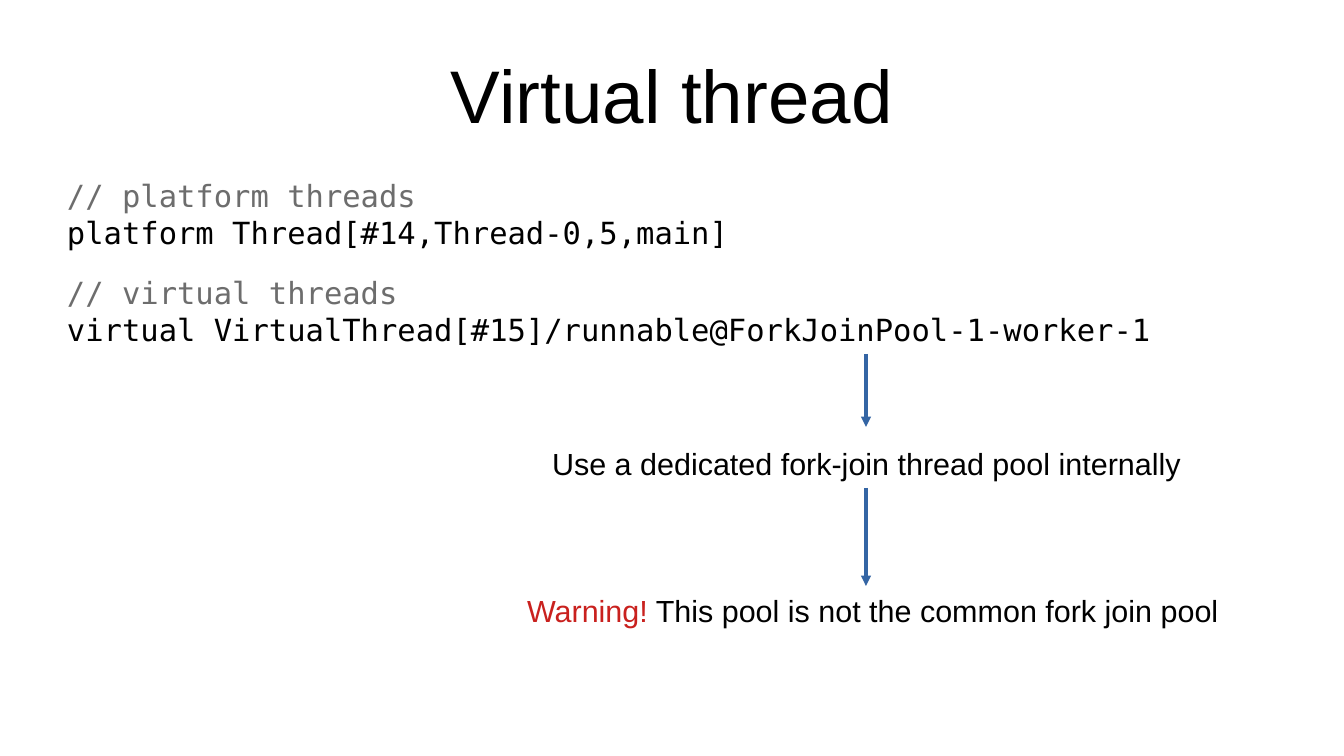
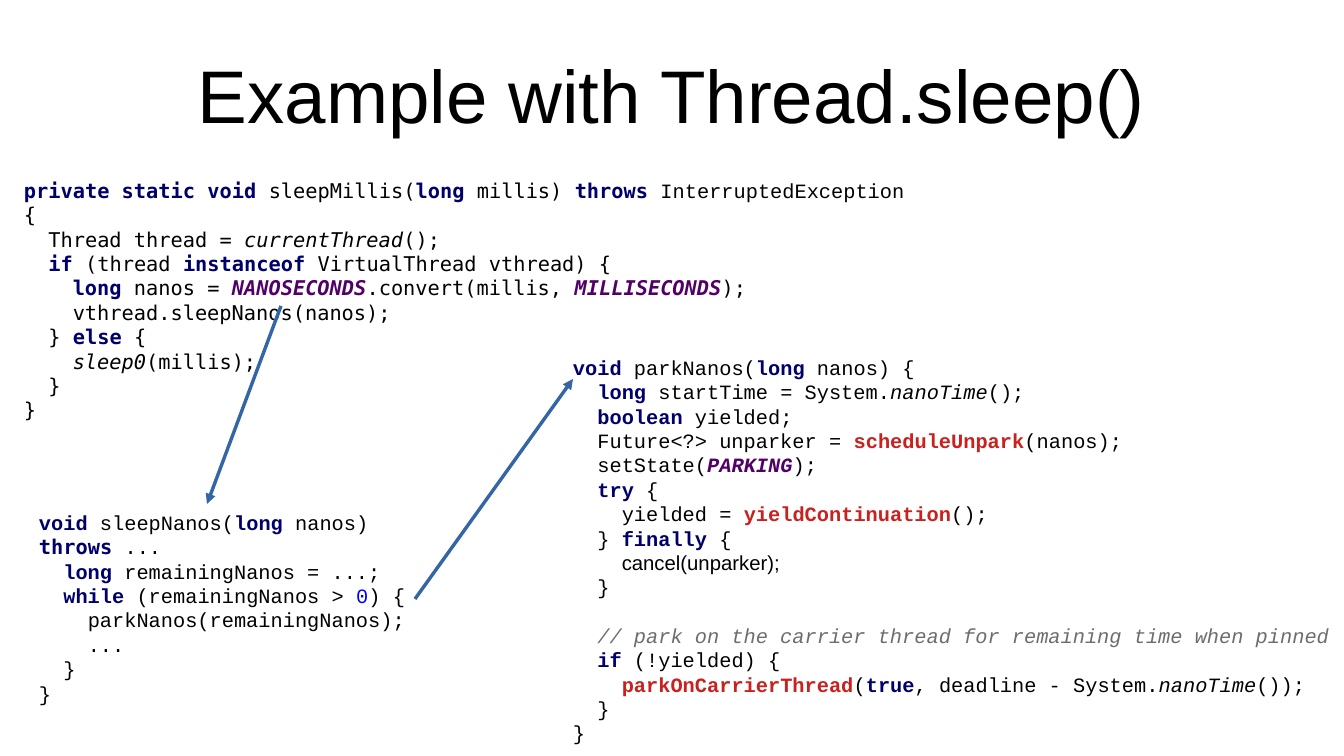
from pptx import Presentation
from pptx.dml.color import RGBColor
from pptx.enum.shapes import MSO_CONNECTOR
from pptx.enum.text import MSO_ANCHOR, PP_ALIGN
from pptx.util import Emu, Pt
from lxml.etree import SubElement
from pptx.oxml.ns import qn

PX = 914400 // 122
THEME = {
    "title": 44, "body": 18, "code": 12, "leading": 1.2, "gap": 14.2,
    "sans": "Arial", "mono": "Courier New", "dejavu": "DejaVu Sans Mono",
    "line": RGBColor.from_string("3465A4"),
}
STYLES = {
    "plain": ("000000", {}),
    "sans": ("000000", {"name": THEME["sans"]}),
    "mono": ("000000", {"name": THEME["mono"]}),
    "key": ("00006D", {"bold": True}),
    "key_dejavu": ("00006D", {"bold": True, "name": THEME["dejavu"]}),
    "call": ("000000", {"italic": True}),
    "const": ("520067", {"bold": True, "italic": True}),
    "hot": ("C9211E", {"bold": True}),
    "warning": ("C9211E", {}),
    "number": ("0000FE", {}),
    "comment": ("6D6D6D", {}),
    "remark": ("6D6D6D", {"italic": True}),
}


def add_text(slide, box, lines, size, font, inset=(0, 0), gaps=(), align=PP_ALIGN.LEFT, anchor=MSO_ANCHOR.TOP):
    tf = slide.shapes.add_textbox(*[Emu(v * PX) for v in box]).text_frame
    side, top = [Emu(v * PX) for v in inset]
    frame = {"word_wrap": True, "vertical_anchor": anchor, "margin_left": side,
             "margin_right": 0, "margin_top": top, "margin_bottom": top}
    for name, value in frame.items():
        setattr(tf, name, value)
    for i, (level, *runs) in enumerate(lines):
        p = tf.add_paragraph() if i else tf.paragraphs[0]
        p.alignment = align
        if len(lines) > 1:
            p.line_spacing = Pt(size * THEME["leading"])
        if i in gaps:
            p.space_before = Pt(THEME["gap"])
        if level:
            pPr = p._p.get_or_add_pPr()
            pPr.set("marL", str(Pt(level * size * 1.2)))
            pPr.set("indent", "0")
        for style, text in runs:
            color, extra = STYLES[style]
            r = p.add_run()
            r.text = text
            for name, value in {"name": font, "size": Pt(size), **extra}.items():
                setattr(r.font, name, value)
            r.font.color.rgb = RGBColor.from_string(color)


def add_arrow(slide, *ends):
    sp = slide.shapes.add_connector(MSO_CONNECTOR.STRAIGHT, *[Emu(v * PX) for v in ends])
    sp.line.color.rgb = THEME["line"]
    sp.line.width = Pt(0)
    SubElement(sp.line._get_or_add_ln(), qn("a:tailEnd"), type="triangle")
    SubElement(sp._element.spPr, qn("a:effectLst"))


prs = Presentation()
prs.slide_width, prs.slide_height = Emu(1344 * PX), Emu(756 * PX)

slides = []
for title in ("Virtual thread", "Example with Thread.sleep()"):
    slide = prs.slides.add_slide(prs.slide_layouts[6])
    add_text(slide, (67, 30, 1210, 127), [(0, ("plain", title))], THEME["title"], THEME["sans"],
             align=PP_ALIGN.CENTER, anchor=MSO_ANCHOR.MIDDLE)
    slides.append(slide)
virtual, sleep = slides

thread_names = [
    (0, ("comment", "// platform threads")),
    (0, ("plain", "platform Thread[#14,Thread-0,5,main]")),
    (0, ("comment", "// virtual threads")),
    (0, ("plain", "virtual VirtualThread[#15]/runnable@ForkJoinPool-1-worker-1")),
]
add_text(virtual, (67, 177, 1210, 214), thread_names, THEME["body"], THEME["dejavu"], gaps=(2,))

pool_notes = [
    ((540, 439, 653, 46), ("plain", "Use a dedicated fork-join thread pool internally")),
    ((515, 586, 716, 46), ("warning", "Warning!"), ("plain", " This pool is not the common fork join pool")),
]
for box, *runs in pool_notes:
    add_text(virtual, box, [(0, *runs)], THEME["body"], THEME["sans"], inset=(12, 6))

park_nanos = [
    (0, ("key", "void "), ("plain", "parkNanos("), ("key", "long "), ("plain", "nanos) {")),
    (1, ("key", "long "), ("plain", "startTime = System."), ("call", "nanoTime"), ("plain", "();")),
    (1, ("key", "boolean "), ("plain", "yielded;")),
    (1, ("plain", "Future<?> unparker = "), ("hot", "scheduleUnpark"), ("plain", "(nanos);")),
    (1, ("plain", "setState("), ("const", "PARKING"), ("plain", ");")),
    (1, ("key", "try "), ("plain", "{")),
    (2, ("plain", "yielded = "), ("hot", "yieldContinuation"), ("plain", "();")),
    (1, ("plain", "} "), ("key", "finally "), ("plain", "{")),
    (2, ("sans", "cancel(unparker);")),
    (1, ("plain", "}")),
    (1, ("remark", "// park on the carrier thread for remaining time when pinned")),
    (1, ("key", "if "), ("plain", "(!yielded) {")),
    (2, ("hot", "parkOnCarrierThread"), ("plain", "("), ("key", "true"),
     ("plain", ", deadline - System."), ("call", "nanoTime"), ("plain", "());")),
    (1, ("plain", "}")),
    (0, ("plain", "}")),
]
sleep_millis = [
    (0, ("key", "private static void "), ("plain", "sleepMillis("), ("key", "long "), ("plain", "millis) "),
     ("key", "throws "), ("mono", "InterruptedException")),
    (0, ("plain", "{")),
    (1, ("plain", "Thread thread = "), ("call", "currentThread"), ("plain", "();")),
    (1, ("key", "if "), ("plain", "(thread "), ("key", "instanceof "), ("plain", "VirtualThread vthread) {")),
    (2, ("key", "long "), ("plain", "nanos = "), ("const", "NANOSECONDS"),
     ("plain", ".convert(millis, "), ("const", "MILLISECONDS"), ("plain", ");")),
    (2, ("plain", "vthread.sleepNanos(nanos);")),
    (1, ("plain", "} "), ("key", "else "), ("plain", "{")),
    (2, ("call", "sleep0"), ("plain", "(millis);")),
    (1, ("plain", "}")),
    (0, ("plain", "}")),
]
sleep_nanos = [
    (0, ("key", "void "), ("plain", "sleepNanos("), ("key", "long "), ("plain", "nanos)")),
    (0, ("key_dejavu", "throws"), ("plain", " ...")),
    (1, ("key", "long "), ("plain", "remainingNanos = ...;")),
    (1, ("key", "while "), ("plain", "(remainingNanos > "), ("number", "0"), ("plain", ") {")),
    (2, ("plain", "parkNanos(remainingNanos);")),
    (2, ("plain", "...")),
    (1, ("plain", "}")),
    (0, ("plain", "}")),
]
methods = [
    ((561, 349, 781, 403), park_nanos, "mono", (10,)),
    ((12, 172, 927, 261), sleep_millis, "dejavu", ()),
    ((27, 504, 488, 206), sleep_nanos, "mono", ()),
]
for box, lines, face, gaps in methods:
    add_text(sleep, box, lines, THEME["code"], THEME[face], inset=(12, 6), gaps=gaps)

arrows = [
    (virtual, 866, 354, 866, 427),
    (virtual, 866, 488, 866, 586),
    (sleep, 281, 306, 207, 504),
    (sleep, 415, 599, 573, 379),
]
for arrow in arrows:
    add_arrow(*arrow)

prs.save("out.pptx")
